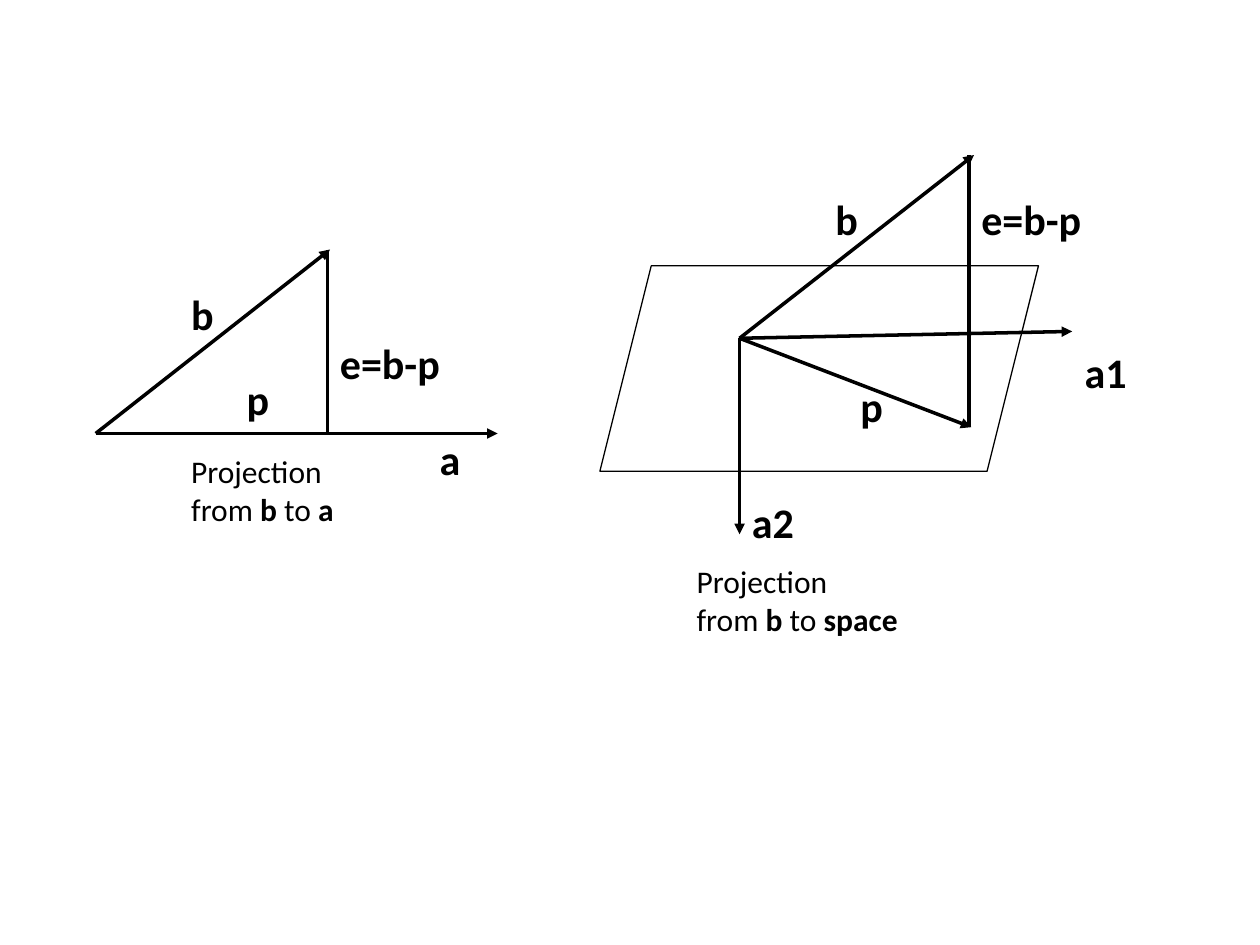
"""Build a slide showing projection onto a line and onto a plane."""
from lxml import etree
from pptx import Presentation
from pptx.dml.color import RGBColor
from pptx.enum import shapes, text
from pptx.oxml import ns
from pptx.util import Pt

COLORS = {"ink": "000000"}
INK = RGBColor.from_string(COLORS["ink"])

deck = Presentation()
deck.slide_width, deck.slide_height = Pt(720), Pt(540)
page = deck.slides.add_slide(deck.slide_layouts[6])


def add_text(lines, left, top, width, height=36, size=24, wrap=False):
    box = page.shapes.add_textbox(Pt(left), Pt(top), Pt(width), Pt(height))
    frame = box.text_frame
    frame.word_wrap = wrap
    frame.auto_size = text.MSO_AUTO_SIZE.SHAPE_TO_FIT_TEXT
    for index, line in enumerate(lines):
        para = frame.paragraphs[0] if index == 0 else frame.add_paragraph()
        for words, bold in line:
            span = para.add_run()
            span.text = words
            span.font.name = "Calibri"
            span.font.size = Pt(size)
            span.font.bold = bold
            span.font.color.rgb = INK


def add_line(start, end, arrow=True):
    line = page.shapes.add_connector(
        shapes.MSO_CONNECTOR.STRAIGHT, *[Pt(value) for value in start + end])
    line.line.color.rgb = INK
    line.line.width = Pt(2)
    if arrow:
        etree.SubElement(line.line._get_or_add_ln(), ns.qn("a:tailEnd"), type="triangle")
    etree.SubElement(line._element.spPr, ns.qn("a:effectLst"))


plane = page.shapes.add_shape(
    shapes.MSO_SHAPE.PARALLELOGRAM, Pt(342.8), Pt(151.9), Pt(250.6), Pt(117.4))
plane.shadow.inherit = False
plane.fill.background()
plane.line.color.rgb = INK
plane.line.width = Pt(0.75)

line_origin, plane_origin = (54.7, 247.7), (422.6, 193.3)
arrows = [
    (line_origin, (188.6, 142.6)),
    (line_origin, (284.4, 247.7)),
    (plane_origin, (556.6, 88.6)),
    (plane_origin, (612.7, 189.4)),
    (plane_origin, (422.6, 305.3)),
    (plane_origin, (555.1, 244.1)),
]
for start, end in arrows:
    add_line(start, end)
for x, top, bottom in [(187.2, 142.6, 247.7), (553.7, 88.6, 244.1)]:
    add_line((x, top), (x, bottom), arrow=False)

labels = [
    ("a", 244.1, 244.1, 26.6),
    ("b", 102.2, 161.3, 27.4),
    ("e=b-p", 187.2, 189.4, 72),
    ("p", 133.9, 210.2, 27.4),
    ("a1", 612.7, 194.4, 38.9),
    ("b", 470.2, 107.3, 27.4),
    ("e=b-p", 553.7, 107.3, 72),
    ("p", 484.6, 213.8, 27.4),
]
for label, left, top, width in labels:
    add_text([[(label, True)]], left, top, width)
add_text([[("a2", True)]], 422.6, 280.1, 50.4, wrap=True)

for target, left, top, width in [("a", 102.2, 254.9, 96.5), ("space", 391, 317.5, 131)]:
    caption = [
        [("Projection", False)],
        [("from ", False), ("b", True), (" to ", False), (target, True)],
    ]
    add_text(caption, left, top, width, height=51.1, size=18)

deck.save("out.pptx")
